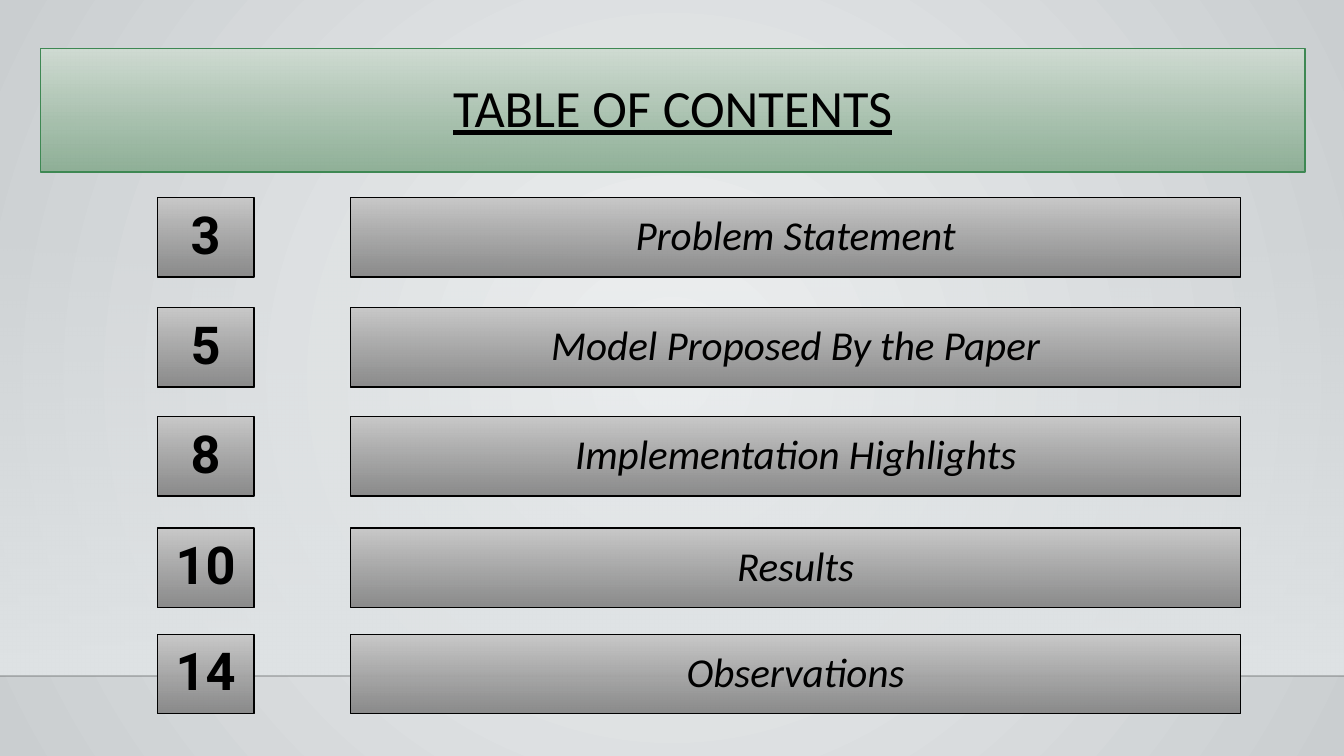
from lxml import etree
from pptx import Presentation
from pptx.dml.color import RGBColor
from pptx.enum.shapes import MSO_CONNECTOR, MSO_SHAPE
from pptx.enum.text import MSO_ANCHOR, PP_ALIGN
from pptx.oxml.ns import qn
from pptx.util import Inches, Pt

RECTANGLE = MSO_SHAPE.RECTANGLE
STRAIGHT = MSO_CONNECTOR.STRAIGHT
MIDDLE = MSO_ANCHOR.MIDDLE
CENTER = PP_ALIGN.CENTER
TITLE_ONLY = 5

TITLE = "TABLE OF CONTENTS"
SECTIONS = [
    ("3", "Problem Statement", 1.47),
    ("5", "Model Proposed By the Paper", 2.29),
    ("8", "Implementation Highlights", 3.1),
    ("10", "Results", 3.93),
    ("14", "Observations", 4.72),
]

SLIDE_WIDTH = 10
SLIDE_HEIGHT = SLIDE_WIDTH * 9 / 16
HORIZON_TOP, HORIZON = 1.66, 5.03
TITLE_BOX = (0.3, 0.36, 9.41, 0.92)
NUMBER_LEFT, NUMBER_WIDTH = 1.17, 0.72
NAME_LEFT, NAME_WIDTH = 2.61, 6.62
ROW_HEIGHT = 0.59

BLACK = "000000"
GREEN_LINE = "3E8853"
GREEN_STOPS = [("CFDBD2", 100), ("8AAD92", 92)]
GRAY_STOPS = [("C8C8C8", 100), ("848484", 92)]
BAND_STOPS = [("DFE3E5", 0), ("DFE3E5", 100)]
BACKGROUND_STOPS = [("F0F2F3", 100), ("CACED0", 100)]


def color(value):
    return RGBColor.from_string(value)


def add_alpha(color_element, percent):
    etree.SubElement(color_element, qn("a:alpha"), val=str(percent * 1000))


def set_gradient(fill, parent, stops, radial=False):
    fill.gradient()
    gradient = parent.find(".//" + qn("a:gradFill"))
    for child in list(gradient):
        gradient.remove(child)
    stop_list = etree.SubElement(gradient, qn("a:gsLst"))
    for position, (value, opacity) in zip((0, 100000), stops):
        stop = etree.SubElement(stop_list, qn("a:gs"), pos=str(position))
        stop_color = etree.SubElement(stop, qn("a:srgbClr"), val=value)
        if opacity < 100:
            add_alpha(stop_color, opacity)
    if radial:
        circle = etree.SubElement(gradient, qn("a:path"), path="circle")
        etree.SubElement(circle, qn("a:fillToRect"),
                         l="50000", t="50000", r="50000", b="50000")
    else:
        etree.SubElement(gradient, qn("a:lin"), ang="5400000", scaled="0")


def place(shape, box):
    shape.left, shape.top, shape.width, shape.height = map(Inches, box)


def style_box(shape, stops, line=None):
    set_gradient(shape.fill, shape.element, stops)
    if line:
        shape.line.color.rgb = color(line)
        shape.line.width = Pt(0.75)
    else:
        shape.line.fill.background()


def write(shape, text, size, font="Calibri", bold=False, italic=False, underline=False):
    frame = shape.text_frame
    frame.word_wrap = True
    frame.vertical_anchor = MIDDLE
    frame.margin_left = frame.margin_right = Inches(0.1)
    frame.margin_top = frame.margin_bottom = Inches(0.1)
    paragraph = frame.paragraphs[0]
    paragraph.alignment = CENTER
    paragraph.line_spacing = 0.9
    run = paragraph.add_run()
    run.text = text
    run.font.name = font
    run.font.size = Pt(size)
    run.font.bold = bold
    run.font.italic = italic
    run.font.underline = underline
    run.font.color.rgb = color(BLACK)


def add_box(slide, box, stops, line=None):
    shape = slide.shapes.add_shape(RECTANGLE, *map(Inches, box))
    shape.shadow.inherit = False
    style_box(shape, stops, line)
    return shape


def add_backdrop(slide):
    set_gradient(slide.background.fill, slide.element, BACKGROUND_STOPS, radial=True)
    add_box(slide, (0, HORIZON_TOP, SLIDE_WIDTH, HORIZON - HORIZON_TOP), BAND_STOPS)
    horizon = slide.shapes.add_connector(
        STRAIGHT, 0, Inches(HORIZON), Inches(SLIDE_WIDTH), Inches(HORIZON))
    horizon.line.color.rgb = color("000001")
    horizon.line.width = Pt(1)
    add_alpha(horizon.element.find(".//" + qn("a:srgbClr")), 20)
    etree.SubElement(horizon.element.spPr, qn("a:effectLst"))


def main():
    presentation = Presentation()
    presentation.slide_width = Inches(SLIDE_WIDTH)
    presentation.slide_height = Inches(SLIDE_HEIGHT)
    slide = presentation.slides.add_slide(presentation.slide_layouts[TITLE_ONLY])
    add_backdrop(slide)

    title = slide.shapes.title
    place(title, TITLE_BOX)
    style_box(title, GREEN_STOPS, GREEN_LINE)
    write(title, TITLE, 28, underline=True)

    for number, name, top in SECTIONS:
        name_box = add_box(slide, (NAME_LEFT, top, NAME_WIDTH, ROW_HEIGHT), GRAY_STOPS, BLACK)
        write(name_box, name, 22, italic=True)
        number_box = add_box(slide, (NUMBER_LEFT, top, NUMBER_WIDTH, ROW_HEIGHT), GRAY_STOPS, BLACK)
        write(number_box, number, 28, font="Roboto", bold=True)

    presentation.save("out.pptx")


if __name__ == "__main__":
    main()
